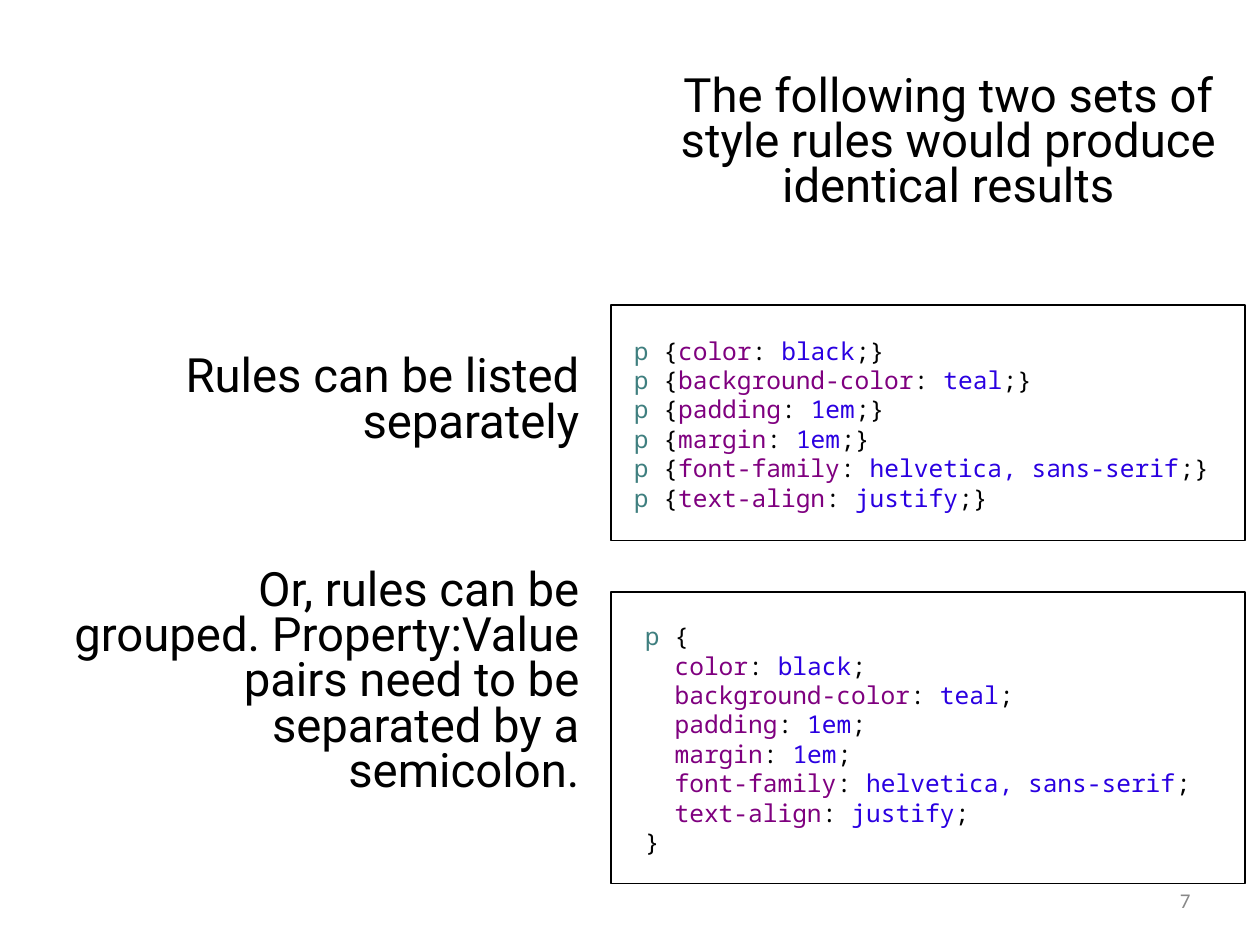
"""Build a slide that compares separate and grouped style rules."""
from dataclasses import dataclass

from pptx import Presentation
from pptx.dml.color import RGBColor
from pptx.enum.shapes import MSO_SHAPE
from pptx.enum.text import MSO_ANCHOR, PP_ALIGN
from pptx.util import Cm, Pt


@dataclass(frozen=True)
class Theme:
    ink: str = "000000"
    paper: str = "FFFFFF"
    muted: str = "888888"
    tag: str = "3F7F7F"
    prop: str = "7F007F"
    value: str = "2A00E1"
    prose: str = "Roboto"
    mono: str = "Noto Sans Mono"
    plain: str = "Calibri"
    large: int = 27
    code: int = 14
    small: int = 12


theme = Theme()


def write(host, area, lines, font=theme.prose, size=theme.large, align=PP_ALIGN.LEFT,
          anchor=MSO_ANCHOR.TOP, inset=0.13, wrap=True, pitch=None, gaps=(), dents=()):
    """Add a text box; each line is a list of (text, colour) pairs."""
    frame = host.add_textbox(*map(Cm, area)).text_frame
    frame.word_wrap = wrap
    frame.vertical_anchor = anchor
    frame.margin_left = frame.margin_right = Cm(inset)
    frame.margin_top = frame.margin_bottom = Cm(inset)
    for num, line in enumerate(lines):
        para = frame.add_paragraph() if num else frame.paragraphs[0]
        para.alignment = align
        if pitch:
            para.line_spacing = pitch
        if gaps:
            para.space_before = Pt(gaps[num])
        if dents:
            para._p.get_or_add_pPr().set("marL", str(Cm(dents[num])))
        for text, color in line:
            run = para.add_run()
            run.text = text
            run.font.name = font
            run.font.size = Pt(size)
            run.font.color.rgb = RGBColor.from_string(color)


deck = Presentation()
deck.slide_width, deck.slide_height = Cm(25.4), Cm(19.05)
slide = deck.slides.add_slide(deck.slide_layouts[6])
shapes = slide.shapes

write(shapes, (23.62, 17.78, 0.51, 0.74), [[("7", theme.muted)]],
      font=theme.plain, size=theme.small, align=PP_ALIGN.RIGHT,
      anchor=MSO_ANCHOR.MIDDLE, wrap=False)

notes = [
    "Rules can be listed separately",
    "Or, rules can be grouped. Property:Value pairs need to be separated by a semicolon.",
]
write(shapes, (1.22, 7.06, 10.59, 10.57), [[(note, theme.ink)] for note in notes],
      align=PP_ALIGN.RIGHT, pitch=0.8, gaps=(6, 70))

rules = [
    ("color", "black"),
    ("background-color", "teal"),
    ("padding", "1em"),
    ("margin", "1em"),
    ("font-family", "helvetica, sans-serif"),
    ("text-align", "justify"),
]
start = [("p", theme.tag), (" {", theme.ink)]
pairs = [[(prop, theme.prop), (": ", theme.ink), (value, theme.value)]
         for prop, value in rules]
single = [start + pair + [(";}", theme.ink)] for pair in pairs]
joint = [start, *(pair + [(";", theme.ink)] for pair in pairs), [("}", theme.ink)]]

panels = [
    ((12.32, 6.15, 12.78, 4.75), (12.78, 6.55, 12.32, 3.99), single, ()),
    ((12.32, 11.94, 12.78, 5.87), (13, 12.24, 12.09, 5.31), joint,
     [0] + [0.6] * len(rules) + [0]),
]
for edge, area, lines, dents in panels:
    group = shapes.add_group_shape().shapes
    box = group.add_shape(MSO_SHAPE.RECTANGLE, *map(Cm, edge))
    box.shadow.inherit = False
    box.fill.solid()
    box.fill.fore_color.rgb = RGBColor.from_string(theme.paper)
    box.line.color.rgb = RGBColor.from_string(theme.ink)
    box.line.width = Pt(1)
    write(group, area, lines, font=theme.mono, size=theme.code,
          anchor=MSO_ANCHOR.MIDDLE, inset=0, dents=dents)

title = "The following two sets of style rules would produce identical results"
write(shapes, (13.44, 1.4, 11.35, 4.75), [[(title, theme.ink)]],
      align=PP_ALIGN.CENTER, pitch=0.8, gaps=(6,))

deck.save("out.pptx")
